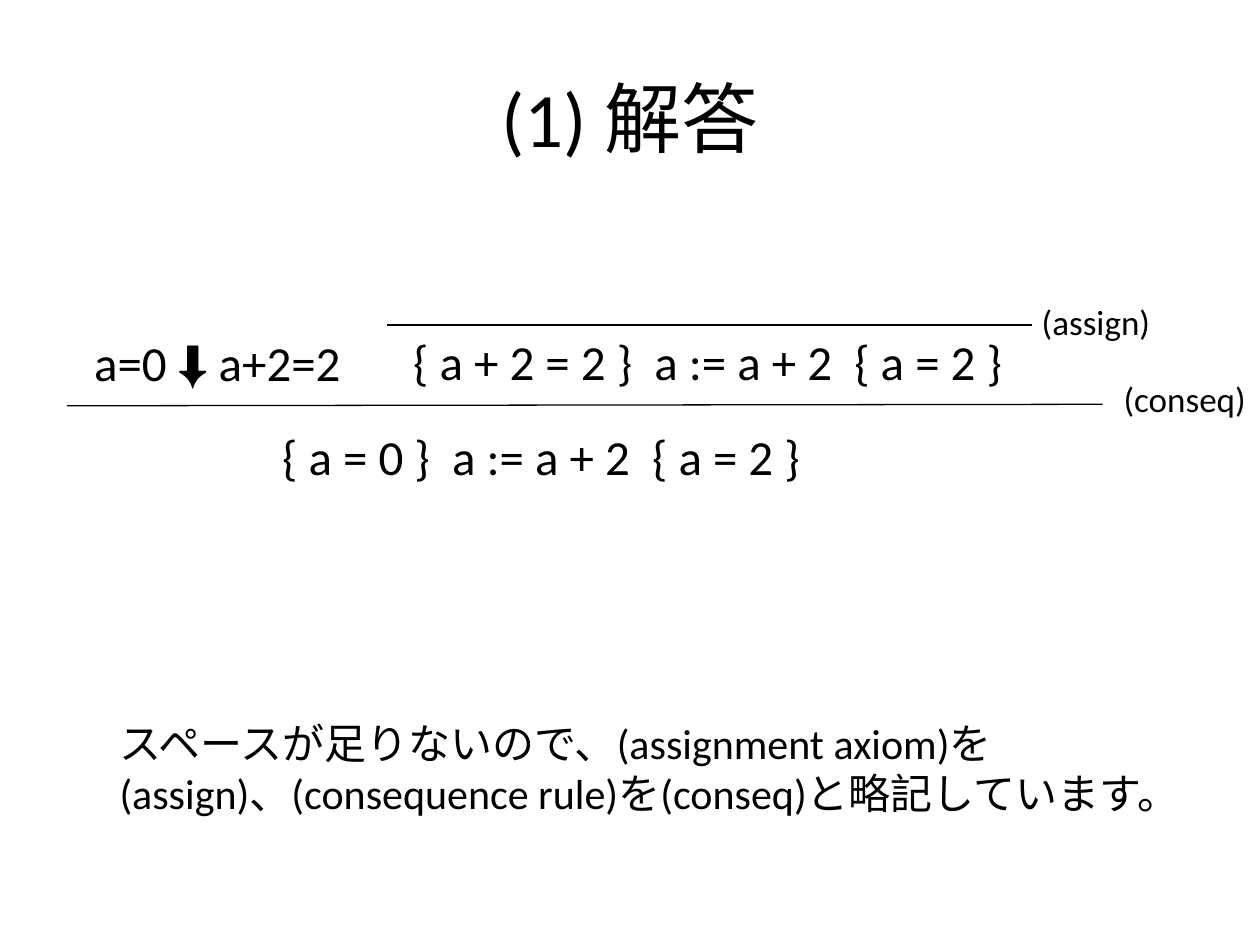
from dataclasses import dataclass

from pptx import Presentation
from pptx.dml.color import RGBColor
from pptx.enum.shapes import MSO_CONNECTOR as Connector
from pptx.enum.text import MSO_ANCHOR as Anchor, MSO_AUTO_SIZE as AutoSize, PP_ALIGN as Align
from pptx.oxml.ns import qn
from pptx.util import Cm, Pt
from lxml.etree import SubElement


@dataclass(frozen=True)
class Theme:
    """Colours, font and sizes of the slide."""
    ink: RGBColor = RGBColor(0, 0, 0)
    paper: RGBColor = RGBColor(255, 255, 255)
    font: str = "Calibri"
    title: int = 44
    formula: int = 28
    note: int = 24
    rule_name: int = 20
    line: float = 0.75


THEME = Theme()


def add_text(page, area, text, size, wrap=False, align=Align.LEFT, anchor=Anchor.TOP):
    """Add a text box holding one paragraph."""
    box = page.shapes.add_textbox(*map(Cm, area))
    frame = box.text_frame
    frame.word_wrap = wrap
    frame.auto_size = AutoSize.NONE if anchor == Anchor.MIDDLE else AutoSize.SHAPE_TO_FIT_TEXT
    frame.vertical_anchor = anchor
    para = frame.paragraphs[0]
    para.alignment = align
    span = para.add_run()
    span.text = text
    span.font.name = THEME.font
    span.font.size = Pt(size)
    span.font.color.rgb = THEME.ink


def add_inference_line(page, start, end):
    """Draw the bar between premises and conclusion."""
    line = page.shapes.add_connector(Connector.STRAIGHT, *map(Cm, start + end))
    line.line.color.rgb = THEME.ink
    line.line.width = Pt(THEME.line)
    SubElement(line._element.spPr, qn("a:effectLst"))


def add_proof(page):
    """Build the proof tree with its rule names."""
    formulas = (
        ((8.08, 6.55, 12.55, 1.45), "{ a + 2 = 2 }  a := a + 2  { a = 2 }"),
        ((1.65, 6.58, 5.92, 1.45), "a=0 ⬇ a+2=2"),
        ((5.44, 8.48, 11.3, 1.45), "{ a = 0 }  a := a + 2  { a = 2 }"),
    )
    for area, text in formulas:
        add_text(page, area, text, THEME.formula)
    rules = (
        ((7.8, 6.55), (20.8, 6.55), (20.75, 5.94, 2.72, 1.12), "(assign)"),
        ((1.35, 8.18), (22.23, 8.15), (22.4, 7.49, 3, 1.12), "(conseq)"),
    )
    for start, end, area, name in rules:
        add_inference_line(page, start, end)
        add_text(page, area, name, THEME.rule_name)


def main():
    """Build and save the slide."""
    deck = Presentation()
    deck.slide_width, deck.slide_height = Cm(25.4), Cm(19.05)
    page = deck.slides.add_slide(deck.slide_layouts[6])
    page.background.fill.solid()
    page.background.fill.fore_color.rgb = THEME.paper
    add_text(page, (1.27, 0.76, 22.86, 3.18), "(1) 解答", THEME.title,
             wrap=True, align=Align.CENTER, anchor=Anchor.MIDDLE)
    add_proof(page)
    add_text(page, (2.16, 14.33, 21.51, 2.31),
             "スペースが足りないので、(assignment axiom)を(assign)、"
             "(consequence rule)を(conseq)と略記しています。",
             THEME.note, wrap=True)
    deck.save("out.pptx")


if __name__ == "__main__":
    main()
